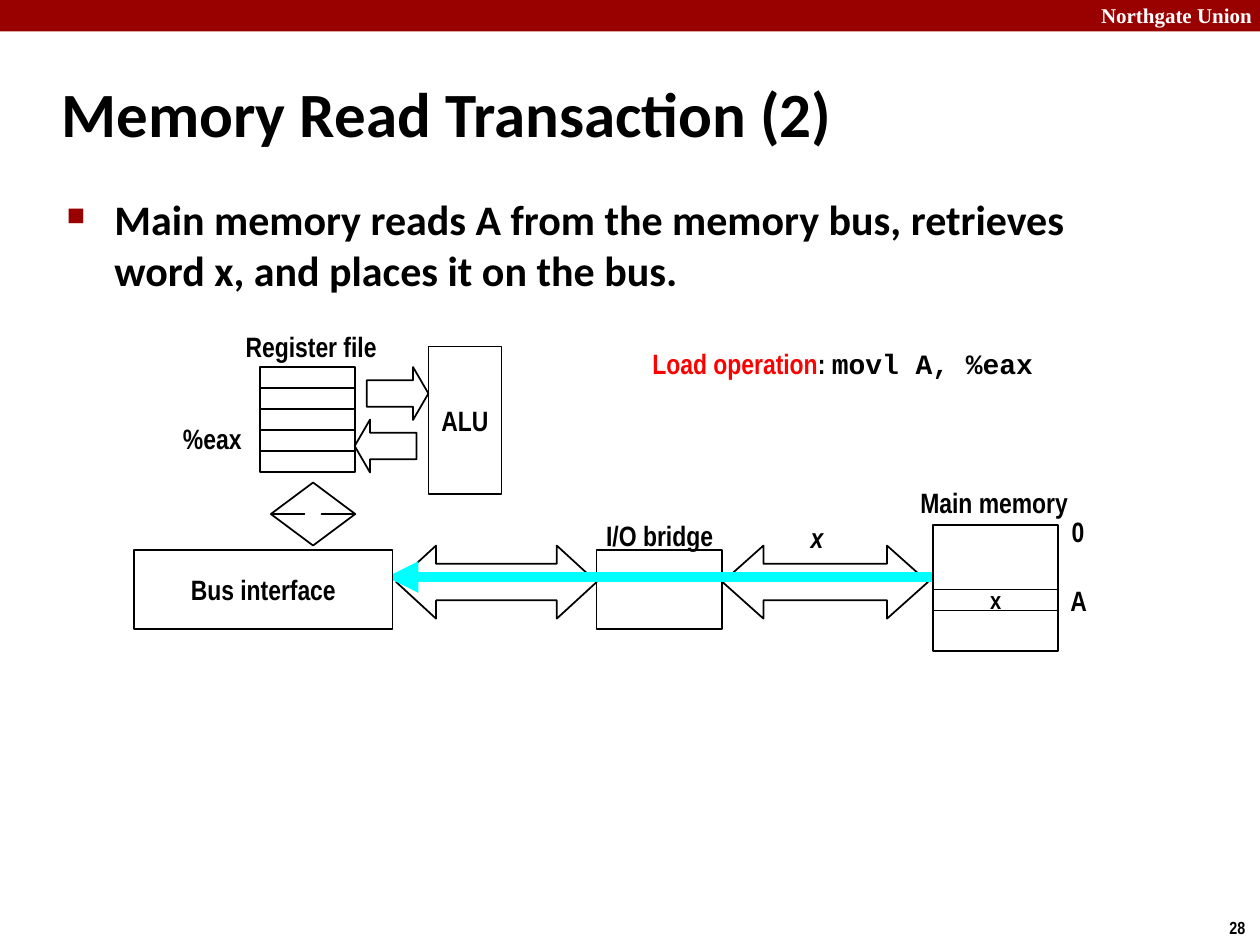
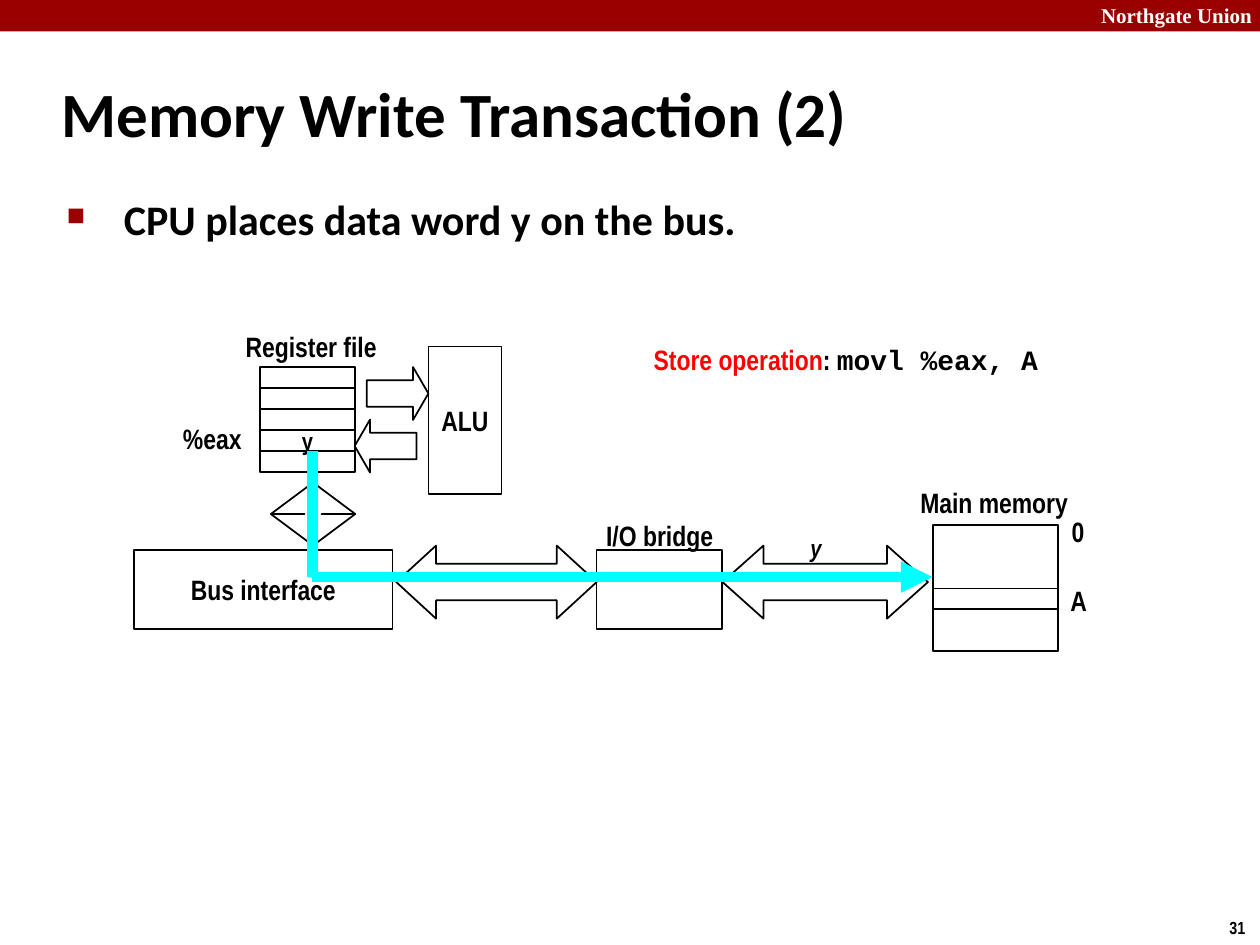
from dataclasses import dataclass
from typing import NamedTuple, Optional

from lxml import etree
from pptx import Presentation, util as u
from pptx.dml import color
from pptx.enum import shapes, text
from pptx.oxml import ns

WIDTH, HEIGHT = u.Inches(10), u.Inches(7.5)
COLUMNS, ROWS = 100, 75
BLACK, WHITE, RED = "000000", "FFFFFF", "FF0000"
CRIMSON, CYAN = "990000", "00FFFF"
NARROW, SANS, MONO, SERIF = "Arial Narrow", "Calibri", "Courier New", "Times New Roman"
KINDS = shapes.MSO_SHAPE
LEFT, CENTER = text.PP_ALIGN.LEFT, text.PP_ALIGN.CENTER
TOP, MIDDLE = text.MSO_ANCHOR.TOP, text.MSO_ANCHOR.MIDDLE


class Area(NamedTuple):
    column: float
    row: float
    columns: float
    rows: float


class Point(NamedTuple):
    column: float
    row: float


class Style(NamedTuple):
    size: float = 16
    font: str = NARROW
    color: str = BLACK
    italic: bool = False


@dataclass(frozen=True)
class Label:
    words: str
    area: Area
    style: Style = Style()
    align: text.PP_ALIGN = CENTER
    anchor: text.MSO_ANCHOR = MIDDLE
    wrap: bool = False


@dataclass(frozen=True)
class Block:
    kind: shapes.MSO_SHAPE
    area: Area
    adjustments: tuple[float, ...] = ()
    words: str = ""
    fill: Optional[str] = None
    line: Optional[str] = BLACK
    style: Style = Style()


@dataclass(frozen=True)
class Transaction:
    title: str
    bullet: str
    number: str
    operation: str
    instruction: str
    operation_area: Area
    bus_word: Label
    register_word: str
    memory_word: str
    memory_row: float
    flow: tuple[Point, ...]
    flow_on_top: bool


CELL = Style(size=14)
REGISTER_FILE = Area(20.65, 29.13, 7.5, 1.67)
REGISTER_COUNT, EAX = 5, 3
MEMORY = Area(74.05, 41.65, 9.95, 10)
BUS_INTERFACE = Block(KINDS.RECTANGLE, Area(10.65, 43.65, 20.5, 6.3),
                      words="Bus interface", fill=WHITE)
BLOCKS = (
    Block(KINDS.LEFT_RIGHT_ARROW, Area(57.35, 43.3, 16.3, 5.8), (0.5, 0.56)),
    Block(KINDS.RECTANGLE, Area(47.35, 43.65, 9.95, 6.3)),
    Block(KINDS.LEFT_RIGHT_ARROW, Area(31.45, 43.3, 15.9, 5.8), (0.5, 0.545)),
    Block(KINDS.RIGHT_ARROW, Area(29.1, 29.13, 4.9, 4.2), (0.5, 0.29)),
    Block(KINDS.LEFT_ARROW, Area(28.15, 33.3, 4.9, 4.2), (0.5, 0.29)),
    Block(KINDS.RECTANGLE, Area(34, 27.5, 5.8, 11.7), words="ALU"),
    Block(KINDS.UP_DOWN_ARROW, Area(21.5, 38.3, 6.7, 5), (0.5, 0.2)),
    Block(KINDS.RECTANGLE, MEMORY),
)
LABELS = (
    Label("Register file", Area(18.4, 25.6, 12.6, 3.7)),
    Label("%eax", Area(13.5, 32.95, 6.7, 3.7)),
    Label("I/O bridge", Area(47.05, 40.6, 10.6, 3.7)),
    Label("Main memory", Area(71.7, 38, 14.4, 3.7)),
    Label("0", Area(83.95, 40.3, 3.2, 3.7)),
    Label("A", Area(83.8, 45.8, 3.6, 3.7)),
)
TRANSACTIONS = (
    Transaction(
        title="Memory Read Transaction (2)",
        bullet="Main memory reads A from the memory bus, retrieves word x, "
               "and places it on the bus.",
        number="28",
        operation="Load operation",
        instruction="movl A, %eax",
        operation_area=Area(50.8, 27, 32.6, 6.4),
        bus_word=Label("x", Area(63.1, 40.8, 3.5, 3.7), Style(italic=True)),
        register_word="",
        memory_word="x",
        memory_row=46.8,
        flow=(Point(74, 45.8), Point(30.7, 45.8)),
        flow_on_top=False,
    ),
    Transaction(
        title="Memory Write Transaction (2)",
        bullet=" CPU places data word y on the bus.",
        number="31",
        operation="Store operation",
        instruction="movl %eax, A",
        operation_area=Area(50.9, 26.7, 33, 6.4),
        bus_word=Label("y", Area(63.2, 41.8, 3.1, 3.3), Style(14, italic=True)),
        register_word="y",
        memory_word="",
        memory_row=46.7,
        flow=(Point(24.8, 35.8), Point(24.8, 45.8), Point(74, 45.8)),
        flow_on_top=True,
    ),
)


def rgb(code: str) -> color.RGBColor:
    return color.RGBColor.from_string(code)


def across(columns: float) -> int:
    return round(WIDTH * columns / COLUMNS)


def down(rows: float) -> int:
    return round(HEIGHT * rows / ROWS)


def bounds(area: Area) -> tuple[int, int, int, int]:
    return (across(area.column), down(area.row),
            across(area.columns), down(area.rows))


def format_span(span, style: Style) -> None:
    span.font.name, span.font.size = style.font, u.Pt(style.size)
    span.font.bold, span.font.italic = True, style.italic
    span.font.color.rgb = rgb(style.color)


def write(shape, words: str, style: Style, align=CENTER, anchor=MIDDLE, wrap=False):
    frame = shape.text_frame
    frame.text = words
    frame.word_wrap, frame.vertical_anchor = wrap, anchor
    para = frame.paragraphs[0]
    para.alignment = align
    for span in para.runs:
        format_span(span, style)
    return para


def draw_label(page, label: Label):
    box = page.shapes.add_textbox(*bounds(label.area))
    return write(box, label.words, label.style, label.align, label.anchor, label.wrap)


def draw_block(page, block: Block) -> None:
    shape = page.shapes.add_shape(block.kind, *bounds(block.area))
    shape.shadow.inherit = False
    for index, value in enumerate(block.adjustments):
        shape.adjustments[index] = value
    if block.fill:
        shape.fill.solid()
        shape.fill.fore_color.rgb = rgb(block.fill)
    else:
        shape.fill.background()
    if block.line:
        shape.line.color.rgb, shape.line.width = rgb(block.line), u.Pt(1)
    else:
        shape.line.fill.background()
    if block.words:
        write(shape, block.words, block.style)


def draw_flow(page, points: tuple[Point, ...]) -> None:
    for start, end in zip(points, points[1:]):
        line = page.shapes.add_connector(
            shapes.MSO_CONNECTOR.STRAIGHT, across(start.column), down(start.row),
            across(end.column), down(end.row))
        line.line.color.rgb, line.line.width = rgb(CYAN), u.Pt(6)
        if end == points[-1]:
            etree.SubElement(line.line._ln, ns.qn("a:tailEnd"), type="triangle")
        etree.SubElement(line._element.spPr, ns.qn("a:effectLst"))


def add_bullet(para) -> None:
    indent = u.Inches(0.38)
    properties = para._p.get_or_add_pPr()
    properties.set("marL", str(indent))
    properties.set("indent", str(-indent))
    spacing = etree.SubElement(properties, ns.qn("a:spcBef"))
    etree.SubElement(spacing, ns.qn("a:spcPct"), val="20000")
    tint = etree.SubElement(properties, ns.qn("a:buClr"))
    etree.SubElement(tint, ns.qn("a:srgbClr"), val=CRIMSON)
    etree.SubElement(properties, ns.qn("a:buSzPct"), val="60000")
    etree.SubElement(properties, ns.qn("a:buChar"), char="■")


def draw_frame(page, transaction: Transaction) -> None:
    draw_block(page, Block(KINDS.RECTANGLE, Area(0, 0, COLUMNS, 2.5),
                           fill=CRIMSON, line=None))
    draw_label(page, Label("Northgate Union", Area(86.4, -0.3, 14.3, 3),
                           Style(12, SERIF, WHITE), LEFT, TOP, True))
    draw_label(page, Label(transaction.number, Area(96.6, 72.3, 3.4, 2.7),
                           Style(10), LEFT, TOP))
    draw_label(page, Label(transaction.title, Area(3.9, 4.8, 83, 8.3),
                           Style(36, SANS), LEFT, MIDDLE, True))
    add_bullet(draw_label(page, Label(transaction.bullet, Area(4.3, 14.9, 86.4, 54.4),
                                      Style(24, SANS), LEFT, TOP, True)))


def draw_operation(page, transaction: Transaction) -> None:
    para = draw_label(page, Label(transaction.operation, transaction.operation_area,
                                  Style(color=RED), LEFT, TOP))
    for words, style in ((": ", Style()), (transaction.instruction, Style(font=MONO))):
        span = para.add_run()
        span.text = words
        format_span(span, style)


def draw_cells(page, transaction: Transaction) -> None:
    for index in range(REGISTER_COUNT):
        row = REGISTER_FILE.row + index * REGISTER_FILE.rows
        words = transaction.register_word if index == EAX else ""
        draw_block(page, Block(KINDS.RECTANGLE, REGISTER_FILE._replace(row=row),
                               words=words, style=CELL))
    word_area = Area(MEMORY.column, transaction.memory_row, MEMORY.columns, 1.67)
    draw_block(page, Block(KINDS.RECTANGLE, word_area,
                           words=transaction.memory_word, style=CELL))


def draw_transaction(page, transaction: Transaction) -> None:
    draw_frame(page, transaction)
    for block in BLOCKS:
        draw_block(page, block)
    draw_cells(page, transaction)
    if transaction.flow_on_top:
        draw_block(page, BUS_INTERFACE)
        draw_flow(page, transaction.flow)
    else:
        draw_flow(page, transaction.flow)
        draw_block(page, BUS_INTERFACE)
    for label in (*LABELS, transaction.bus_word):
        draw_label(page, label)
    draw_operation(page, transaction)


def main() -> None:
    deck = Presentation()
    deck.slide_width, deck.slide_height = WIDTH, HEIGHT
    blank = deck.slide_layouts[6]
    for transaction in TRANSACTIONS:
        draw_transaction(deck.slides.add_slide(blank), transaction)
    deck.save("out.pptx")


if __name__ == "__main__":
    main()
